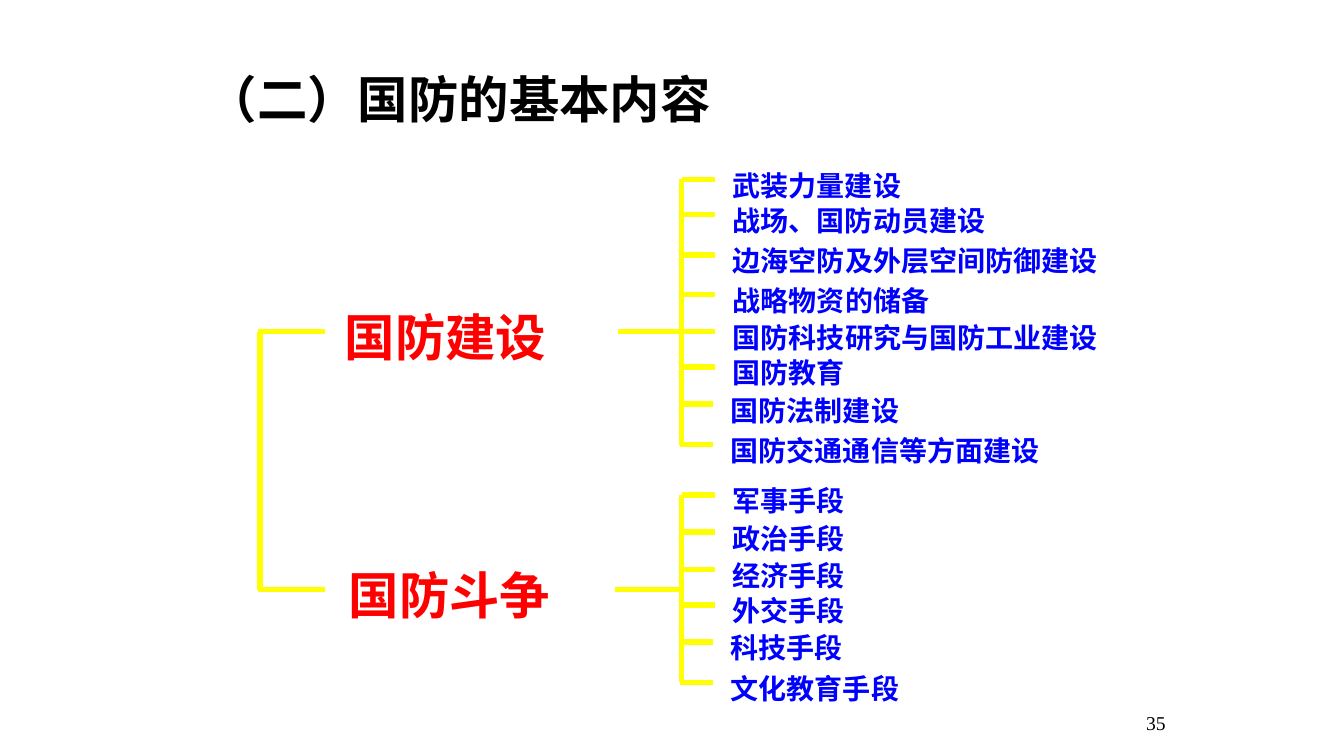
from lxml import etree
from pptx import Presentation
from pptx.dml.color import RGBColor
from pptx.enum.shapes import MSO_CONNECTOR
from pptx.enum.text import MSO_ANCHOR, MSO_AUTO_SIZE, PP_ALIGN
from pptx.oxml.ns import qn
from pptx.util import Inches, Pt

STRAIGHT = MSO_CONNECTOR.STRAIGHT
TOP = MSO_ANCHOR.TOP
FIT, FIXED = MSO_AUTO_SIZE.SHAPE_TO_FIT_TEXT, MSO_AUTO_SIZE.NONE
LEFT, RIGHT = PP_ALIGN.LEFT, PP_ALIGN.RIGHT
HAN, ROMAN = "Noto Sans CJK SC", "Times New Roman"
COLORS = {"title": "000000", "line": "FFFF00", "branch": "FF0000", "leaf": "0000FF"}

deck = Presentation()
deck.slide_width, deck.slide_height = Inches(13.33), Inches(7.5)
slide = deck.slides.add_slide(deck.slide_layouts[5])


def write(text, x, y, w, h, size, color, font=HAN, bold=True, align=LEFT,
          wrap=True, fit=FIT, box=None):
    box = box or slide.shapes.add_textbox(0, 0, 0, 0)
    box.left, box.top, box.width, box.height = map(Inches, (x, y, w, h))
    frame = box.text_frame
    frame.word_wrap, frame.auto_size, frame.vertical_anchor = wrap, fit, TOP
    para = frame.paragraphs[0]
    para.alignment = align
    run = para.add_run()
    run.text = text
    run.font.size, run.font.bold, run.font.name = Pt(size), bold, font
    run.font.color.rgb = RGBColor.from_string(COLORS[color])
    etree.SubElement(run.font._element, qn("a:ea"), typeface=font)


def rule(x1, y1, x2, y2):
    line = slide.shapes.add_connector(STRAIGHT, *map(Inches, (x1, y1, x2, y2)))
    line.line.width = Pt(4)
    line.line.color.rgb = RGBColor.from_string(COLORS["line"])
    etree.SubElement(line._element.spPr, qn("a:effectLst"))


# Title
write("（二）国防的基本内容", 1.95, 0.63, 5.27, 0.71, 36, "title",
      wrap=False, box=slide.shapes.title)

# Branches: name, label left, stem left, stem height, leaves by tick height
BRANCHES = [
    ("国防建设", 3.32, 6.13, 3.29, {
        1.78: "武装力量建设",
        2.13: "战场、国防动员建设",
        2.53: "边海空防及外层空间防御建设",
        2.92: "战略物资的储备",
        3.29: "国防科技研究与国防工业建设",
        3.64: "国防教育",
        4.01: "国防法制建设",
        4.41: "国防交通通信等方面建设"}),
    ("国防斗争", 3.36, 6.1, 5.85, {
        4.91: "军事手段",
        5.28: "政治手段",
        5.65: "经济手段",
        6.0: "外交手段",
        6.37: "科技手段",
        6.77: "文化教育手段"}),
]
ROOT, SPINE, TICK = 2.58, 6.76, 0.33

# Root bracket
rule(ROOT, BRANCHES[0][3], ROOT, BRANCHES[1][3])

for name, left, stem, mid, leaves in BRANCHES:
    # Branch label between its two lines
    rule(ROOT - 0.02, mid, 3.22, mid)
    write(name, left, mid - 0.3, 2.26, 0.71, 36, "branch")
    rule(stem, mid, SPINE, mid)

    # Spine with one tick and one text per leaf; the last two sit further left
    rule(SPINE, min(leaves), SPINE, max(leaves))
    for i, (y, text) in enumerate(leaves.items()):
        x = SPINE - (0.02 if i >= len(leaves) - 2 else 0)
        rule(x, y, x + TICK, y)
        write(text, x + 0.41, y - 0.16, 0.25 + 0.28 * len(text), 0.44, 20, "leaf")

# Page number
write("35", 9.58, 7, 2.08, 0.5, 14, "title", font=ROMAN, bold=False,
      align=RIGHT, fit=FIXED)

deck.save("out.pptx")
